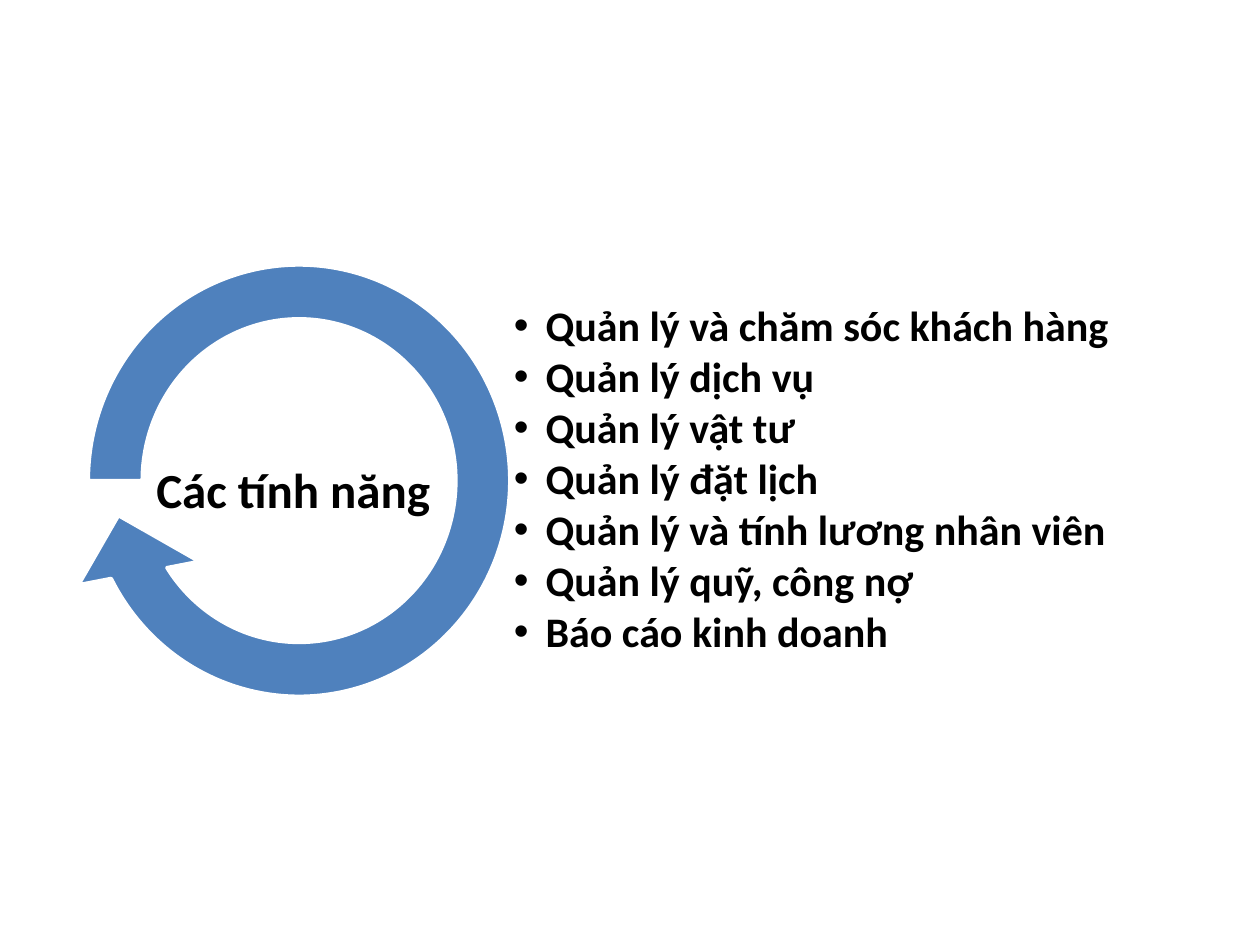
from lxml.etree import SubElement
from pptx import Presentation
from pptx.dml.color import RGBColor
from pptx.enum.shapes import MSO_SHAPE
from pptx.enum.text import MSO_ANCHOR, MSO_AUTO_SIZE, PP_ALIGN
from pptx.oxml.ns import qn
from pptx.util import Cm, Pt

FEATURES = [
    "Quản lý và chăm sóc khách hàng",
    "Quản lý dịch vụ",
    "Quản lý vật tư",
    "Quản lý đặt lịch",
    "Quản lý và tính lương nhân viên",
    "Quản lý quỹ, công nợ",
    "Báo cáo kinh doanh",
]


def color(hex_string):
    return RGBColor.from_string(hex_string)


class SlideBuilder:
    font_name = "Calibri"
    text_color = "000000"
    accent = "4F81BD"
    background = "FFFFFF"
    inset = Cm(0.05)

    def __init__(self, slide):
        self.slide = slide

    def place(self, shape, box):
        shape.left, shape.top, shape.width, shape.height = map(Cm, box)

    def fill_text(self, shape, text, size, space_after=0):
        """Write text, one paragraph per line, in the style of the slide."""
        frame = shape.text_frame
        frame.text = text
        frame.word_wrap = True
        frame.auto_size = MSO_AUTO_SIZE.NONE
        frame.vertical_anchor = MSO_ANCHOR.MIDDLE
        frame.margin_left = frame.margin_right = self.inset
        frame.margin_top = frame.margin_bottom = self.inset
        for paragraph in frame.paragraphs:
            paragraph.line_spacing = 0.9
            paragraph.space_before = Pt(0)
            paragraph.space_after = Pt(space_after)
            for run in paragraph.runs:
                run.font.name = self.font_name
                run.font.size = Pt(size)
                run.font.bold = True
                run.font.color.rgb = color(self.text_color)

    def title(self, text, box):
        title = self.slide.shapes.title
        self.place(title, box)
        self.fill_text(title, text, 28)
        title.text_frame.paragraphs[0].alignment = PP_ALIGN.CENTER
        return title

    def bullet_list(self, items, box):
        body = self.slide.placeholders[1]
        self.place(body, box)
        self.fill_text(body, "\n".join(items), 24, space_after=3.2)
        for paragraph in body.text_frame.paragraphs:
            paragraph.level = 1
            properties = paragraph._p.get_or_add_pPr()
            properties.set("marL", str(Cm(0.64)))
            properties.set("indent", str(-Cm(0.64)))
            SubElement(properties, qn("a:buFont")).set("typeface", "Arial")
            SubElement(properties, qn("a:buChar")).set("char", "•")
        return body

    def circular_arrow(self, box, adjustments):
        arrow = self.slide.shapes.add_shape(MSO_SHAPE.CIRCULAR_ARROW, *map(Cm, box))
        for index, value in enumerate(adjustments):
            arrow.adjustments[index] = value
        arrow.shadow.inherit = False
        arrow.fill.solid()
        arrow.fill.fore_color.rgb = color(self.accent)
        arrow.line.color.rgb = color(self.background)
        arrow.line.width = Pt(2)
        return arrow


def main():
    presentation = Presentation()
    presentation.slide_width, presentation.slide_height = Cm(25.4), Cm(19.05)
    slide = presentation.slides.add_slide(presentation.slide_layouts[1])
    builder = SlideBuilder(slide)

    arrow = builder.circular_arrow((1.09, 4.65, 9.88, 10.08), (0.11, 11.423, 90, 108, 0.125))
    body = builder.bullet_list(FEATURES, (10.31, 6.53, 16.28, 6.32))
    title = builder.title("Các tính năng", (1.3, 7.72, 9.22, 4.42))

    # Stack from back to front: arrow, list, title
    body.element.addprevious(arrow.element)
    body.element.addnext(title.element)
    presentation.save("out.pptx")


if __name__ == "__main__":
    main()
